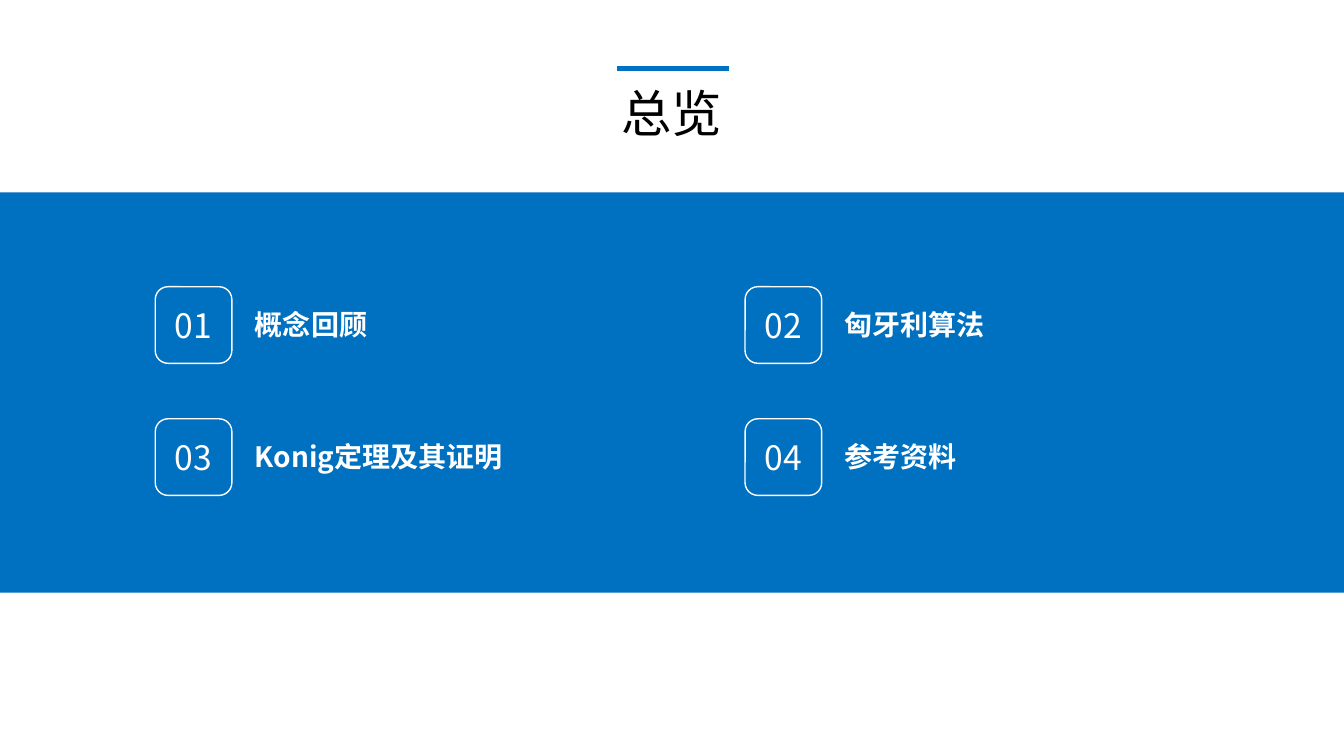
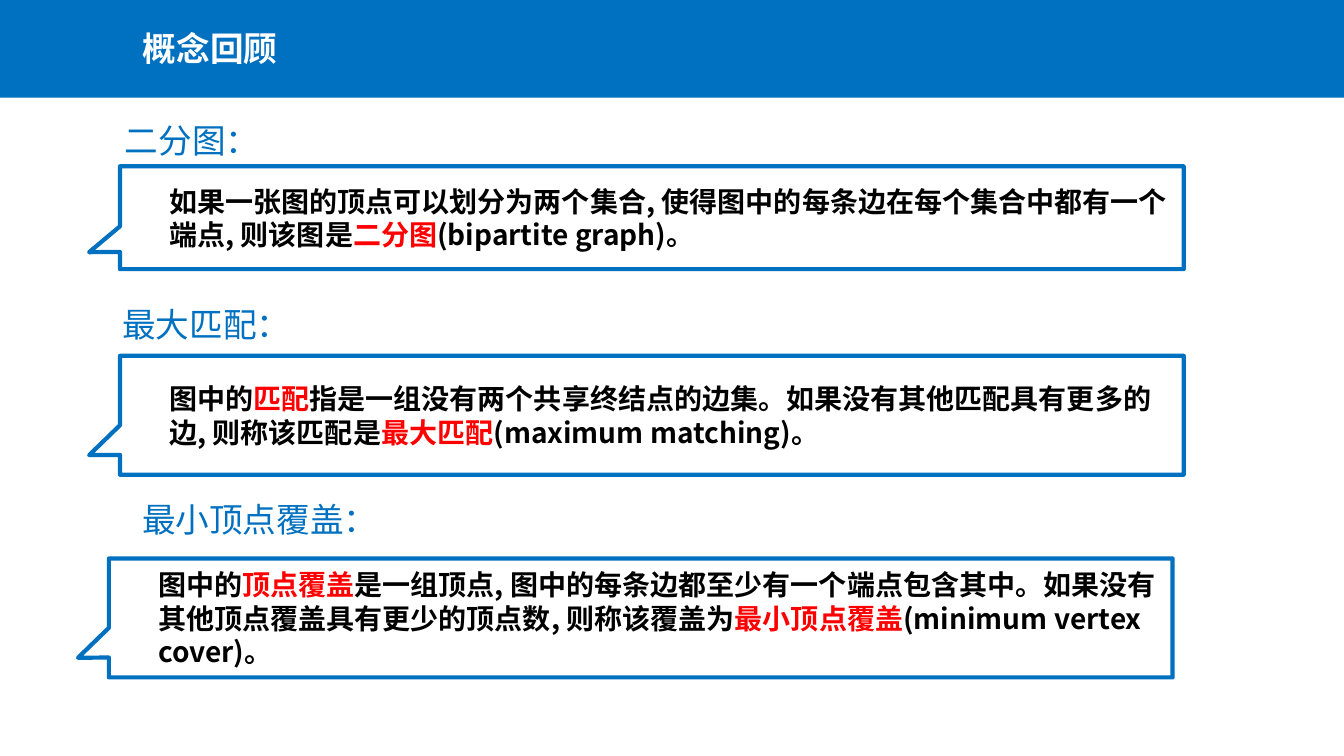
from lxml import etree
from pptx import Presentation
from pptx.dml.color import RGBColor
from pptx.enum.shapes import MSO_CONNECTOR, MSO_SHAPE
from pptx.enum.text import MSO_ANCHOR, PP_ALIGN
from pptx.oxml.ns import qn
from pptx.util import Inches, Pt

RECT, ROUND = MSO_SHAPE.RECTANGLE, MSO_SHAPE.ROUNDED_RECTANGLE
CALLOUT = MSO_SHAPE.RECTANGULAR_CALLOUT
LINE = MSO_CONNECTOR.STRAIGHT
LEFT, CENTER = PP_ALIGN.LEFT, PP_ALIGN.CENTER
TOP, MIDDLE = MSO_ANCHOR.TOP, MSO_ANCHOR.MIDDLE

BLUE, WHITE, BLACK, RED = "0070C0", "FFFFFF", "000000", "FF0000"
FACE = "Noto Sans CJK SC"
WIDE, HIGH = 13.33, 7.5
INDENT = 0.39

TITLE = "总览"
TOPICS = ["概念回顾", "匈牙利算法", "Konig定理及其证明", "参考资料"]

# Words between bars are key terms, set in red.
TERMS = [
    {"head": "二分图：", "head_at": (0.45, 1.14, 2.52, 0.5),
     "box_at": (1.19, 1.65, 10.55, 1.02),
     "text": "如果一张图的顶点可以划分为两个集合, 使得图中的每条边在每个集合中都有一个端点, "
             "则该图是|二分图|(bipartite graph)。"},
    {"head": "最大匹配：", "head_at": (0.59, 2.97, 2.52, 0.5),
     "box_at": (1.19, 3.53, 10.55, 1.18),
     "text": "图中的|匹配|指是一组没有两个共享终结点的边集。如果没有其他匹配具有更多的边, "
             "则称该匹配是|最大匹配|(maximum matching)。"},
    {"head": "最小顶点覆盖：", "head_at": (0.83, 4.9, 2.77, 0.5),
     "box_at": (1.08, 5.54, 10.55, 1.18),
     "text": "图中的|顶点覆盖|是一组顶点, 图中的每条边都至少有一个端点包含其中。"
             "如果没有其他顶点覆盖具有更少的顶点数, "
             "则称该覆盖为|最小顶点覆盖|(minimum vertex cover)。"},
]

NUMBER = {"size": Pt(24), "bold": False}
LABEL = {"size": Pt(20), "bold": True}
HEAD = {"size": Pt(24), "bold": False}
BAND = {"size": Pt(24), "bold": True}
COVER = {"size": Pt(36), "bold": False}


def rgb(code):
    return RGBColor.from_string(code)


def inches(at):
    return [Inches(n) for n in at]


def write(shape, text, style, color, align=LEFT, anchor=TOP, indent=0):
    """Fill a shape with one paragraph; parts between bars turn red."""
    frame = shape.text_frame
    frame.word_wrap = True
    frame.vertical_anchor = anchor
    para = frame.paragraphs[0]
    para.alignment = align
    if indent:
        props = para._p.get_or_add_pPr()
        props.set("marL", str(Inches(indent)))
        props.set("indent", "0")
    for i, part in enumerate(text.split("|")):
        run = para.add_run()
        run.text = part
        font = run.font
        for name, value in style.items():
            setattr(font, name, value)
        font.name = FACE
        font.color.rgb = rgb(RED if i % 2 else color)
        east = etree.SubElement(run._r.get_or_add_rPr(), qn("a:ea"))
        east.set("typeface", FACE)


def label(slide, at, *words, **format):
    write(slide.shapes.add_textbox(*inches(at)), *words, **format)


def shape(slide, kind, at, fill=None, line=None, width=1):
    item = slide.shapes.add_shape(kind, *inches(at))
    item.shadow.inherit = False
    if fill:
        item.fill.solid()
        item.fill.fore_color.rgb = rgb(fill)
    else:
        item.fill.background()
    if line:
        item.line.color.rgb = rgb(line)
        item.line.width = Pt(width)
    else:
        item.line.fill.background()
    return item


def band(slide, top, height):
    shape(slide, RECT, (0, top, WIDE, height), fill=BLUE)


def rule(slide, x1, x2, y):
    item = slide.shapes.add_connector(LINE, *inches((x1, y, x2, y)))
    item.line.color.rgb = rgb(BLUE)
    item.line.width = Pt(3)
    etree.SubElement(item._element.spPr, qn("a:effectLst"))


def overview(slide):
    left, top, side = 1.54, 2.845, 0.76
    step_x, step_y = 5.85, 1.31
    band(slide, 1.91, 3.97)
    rule(slide, 6.12, 7.23, 0.68)
    label(slide, (3.63, 0.77, 6.07, 0.71), TITLE, COVER, BLACK, align=CENTER)
    for i, topic in enumerate(TOPICS):
        row, col = divmod(i, 2)
        x, y = left + col * step_x, top + row * step_y
        tile = shape(slide, ROUND, (x, y, side, side), line=WHITE)
        write(tile, f"{i + 1:02}", NUMBER, WHITE, CENTER, MIDDLE)
        label(slide, (x + 0.89, y + 0.16, 2.71, 0.44), topic, LABEL, WHITE)


def concepts(slide):
    band(slide, 0, 0.97)
    label(slide, (1.32, 0.23, 4, 0.5), TOPICS[0], BAND, WHITE)
    for term in TERMS:
        label(slide, term["head_at"], term["head"], HEAD, BLUE,
              align=CENTER, indent=INDENT)
        box = shape(slide, CALLOUT, term["box_at"], line=BLUE, width=3)
        box.adjustments[0], box.adjustments[1] = -0.529, 0.335
        write(box, term["text"], LABEL, BLACK, anchor=MIDDLE, indent=INDENT)


def main():
    deck = Presentation()
    deck.slide_width, deck.slide_height = inches((WIDE, HIGH))
    for build in (overview, concepts):
        build(deck.slides.add_slide(deck.slide_layouts[6]))
    deck.save("out.pptx")


if __name__ == "__main__":
    main()
